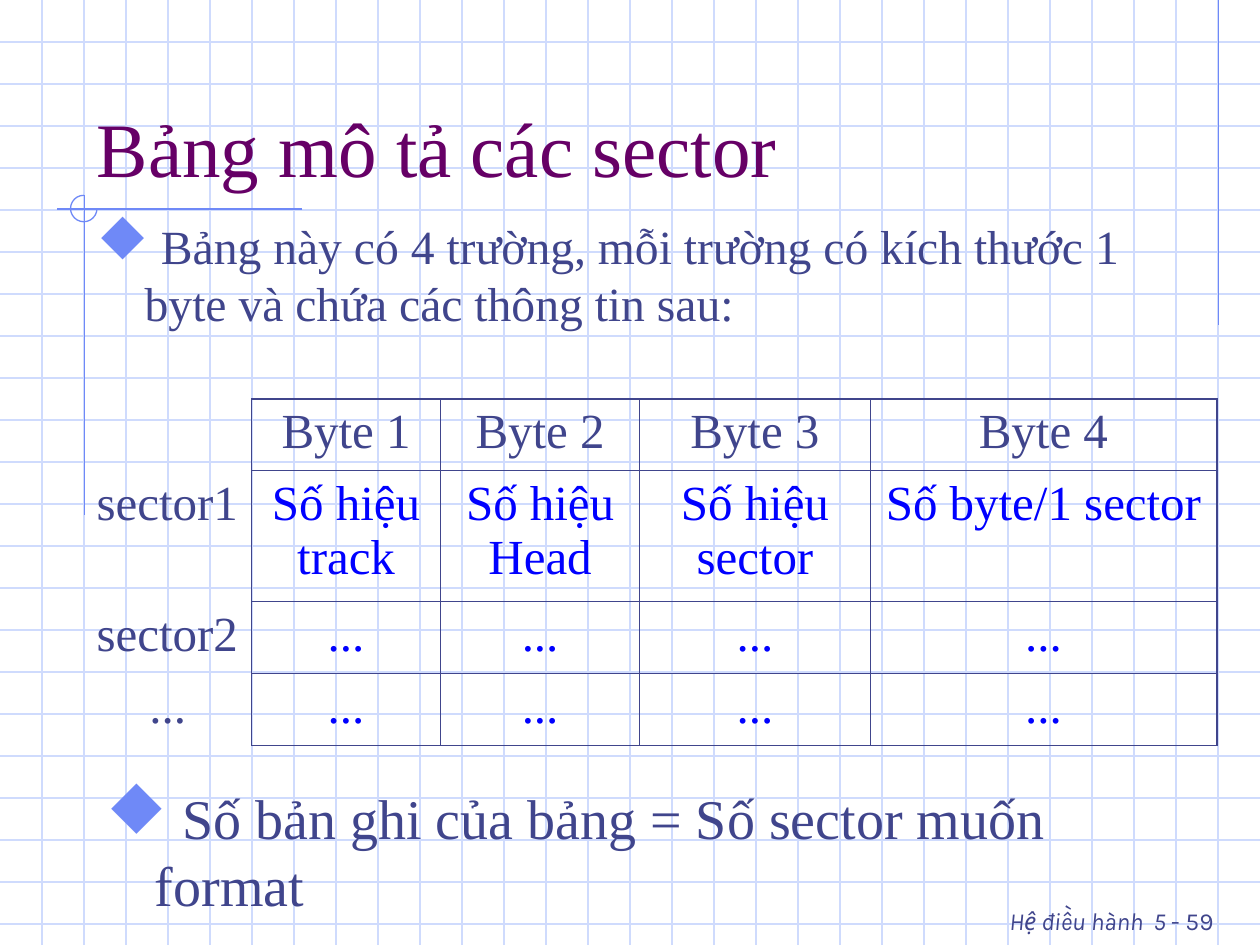
"""Build the slide describing the sector table."""
from dataclasses import dataclass
from typing import Optional

from lxml.etree import SubElement
from pptx import Presentation
from pptx.dml.color import RGBColor
from pptx.enum.shapes import MSO_CONNECTOR, MSO_SHAPE
from pptx.enum.text import MSO_ANCHOR, PP_ALIGN
from pptx.oxml import parse_xml
from pptx.oxml.ns import nsdecls, qn
from pptx.util import Inches, Pt

COLORS = {"grid": "CFDBFD", "accent": "6F89F7", "text": "40458C",
          "title": "660066", "value": "0000FF"}
SERIF = "Times New Roman"
WIDTH, HEIGHT, STEP = 10, 7.5, 1 / 3
THIN, THICK = 0.45, 1.08


@dataclass
class Run:
    text: str
    size: float
    color: str = "text"
    font: str = SERIF
    italic: bool = False


@dataclass
class Line:
    x1: float
    y1: float
    x2: float
    y2: float
    color: str = "accent"


@dataclass
class TextBox:
    left: float
    top: float
    width: float
    height: float
    runs: list[Run]
    align: PP_ALIGN = PP_ALIGN.LEFT
    anchor: MSO_ANCHOR = MSO_ANCHOR.TOP
    bullet: bool = False


LINES = [
    *[Line(0, i * STEP, WIDTH, i * STEP, "grid") for i in range(1, 23)],
    *[Line(i * STEP, 0, i * STEP, HEIGHT, "grid") for i in range(1, 30)],
    Line(9.67, 0, 9.67, 2.58),
    Line(2.4, 1.66, 0.45, 1.66),
    Line(0.67, 1.55, 0.67, 4.09),
]
BOXES = [
    TextBox(6.83, 7, 2.9, 0.5, [
        Run("Hệ điều hành", 14, font="Karla", italic=True),
        Run(" ", 24, font="Karla"),
        Run("5 ", 14, font="Karla", italic=True),
        Run("- 59", 14, font="Karla")], align=PP_ALIGN.RIGHT),
    TextBox(0.67, 0.33, 8.5, 1.25, [Run("Bảng mô tả các sector", 44, "title")],
            anchor=MSO_ANCHOR.BOTTOM),
    TextBox(0.67, 1.67, 8.83, 1.08, [
        Run(" Bảng này có 4 trường, mỗi trường có kích thước 1 byte "
            "và chứa các thông tin sau:", 27.2)], bullet=True),
    TextBox(0.75, 6.17, 8.9, 0.83, [
        Run(" Số bản ghi của bảng = Số sector muốn format", 32)], bullet=True),
]
COL_WIDTHS = [1.33, 1.5, 1.58, 1.83, 2.75]
ROW_HEIGHTS = [0.57, 1.04, 0.57, 0.57]
CELLS = [
    ["", "Byte 1", "Byte 2", "Byte 3", "Byte 4"],
    ["sector1", "Số hiệu track", "Số hiệu Head", "Số hiệu sector", "Số byte/1 sector"],
    ["sector2"] + ["..."] * 4,
    ["..."] * 5,
]


def rgb(name: str) -> RGBColor:
    """Return a named colour."""
    return RGBColor.from_string(COLORS[name])


def add_line(s, line: Line) -> None:
    """Draw one straight line."""
    sp = s.shapes.add_connector(MSO_CONNECTOR.STRAIGHT, Inches(line.x1), Inches(line.y1),
                                Inches(line.x2), Inches(line.y2))
    sp.line.color.rgb = rgb(line.color)
    sp.line.width = Pt(0.75)
    SubElement(sp._element.spPr, qn("a:effectLst"))


def add_arc(s) -> None:
    """Draw the three-quarter circle at the crossing of the accent lines."""
    sp = s.shapes.add_shape(MSO_SHAPE.ARC, Inches(0.56), Inches(1.55),
                            Inches(0.21), Inches(0.21))
    sp.adjustments[0], sp.adjustments[1] = 0, 162
    sp.shadow.inherit = False
    sp.fill.background()
    sp.line.color.rgb = rgb("accent")
    sp.line.width = Pt(0.75)


def add_run(p, run: Run) -> None:
    """Append a formatted run to a paragraph."""
    r = p.add_run()
    r.text = run.text
    r.font.size, r.font.name, r.font.italic = Pt(run.size), run.font, run.italic
    r.font.color.rgb = rgb(run.color)


def set_bullet(p) -> None:
    """Give a paragraph the diamond bullet and hanging indent."""
    p.space_before = Pt(8)
    pPr = p._p.get_or_add_pPr()
    pPr.set("marL", str(Inches(0.38)))
    pPr.set("indent", str(-Inches(0.38)))
    clr = SubElement(pPr, qn("a:buClr"))
    SubElement(clr, qn("a:srgbClr"), val=COLORS["accent"])
    SubElement(pPr, qn("a:buSzPct"), val="110000")
    SubElement(pPr, qn("a:buFont"), typeface="Wingdings", pitchFamily="2", charset="2")
    SubElement(pPr, qn("a:buChar"), char="u")


def add_text(s, box: TextBox) -> None:
    """Draw a text box with one paragraph."""
    tf = s.shapes.add_textbox(Inches(box.left), Inches(box.top),
                              Inches(box.width), Inches(box.height)).text_frame
    tf.word_wrap = True
    tf.vertical_anchor = box.anchor
    p = tf.paragraphs[0]
    p.alignment = box.align
    if box.bullet:
        set_bullet(p)
    for run in box.runs:
        add_run(p, run)


def set_borders(cell, widths: list[Optional[float]]) -> None:
    """Set the left, right, top and bottom borders of a cell."""
    tcPr = cell._tc.get_or_add_tcPr()
    for i, (side, width) in enumerate(zip("LRTB", widths)):
        if width is None:
            attr, fill = "", "<a:noFill/>"
        else:
            attr = f'w="{Pt(width)}"'
            fill = f'<a:solidFill><a:srgbClr val="{COLORS["text"]}"/></a:solidFill>'
        tcPr.insert(i, parse_xml(f'<a:ln{side} {nsdecls("a")} {attr}>{fill}</a:ln{side}>'))


def add_sector_table(s) -> None:
    """Draw the table of sector fields."""
    rows, cols = len(ROW_HEIGHTS), len(COL_WIDTHS)
    table = s.shapes.add_table(rows, cols, Inches(2 * STEP), Inches(9.5 * STEP),
                               Inches(sum(COL_WIDTHS)), Inches(sum(ROW_HEIGHTS))).table
    table.first_row = table.horz_banding = False
    for col, width in zip(table.columns, COL_WIDTHS):
        col.width = Inches(width)
    for i, (row, height) in enumerate(zip(table.rows, ROW_HEIGHTS)):
        row.height = Inches(height)
        for j, cell in enumerate(row.cells):
            text = CELLS[i][j]
            cell.fill.background()
            if j == 0:
                set_borders(cell, [None, THIN, None, None])
            else:
                set_borders(cell, [THIN, THICK if j == cols - 1 else THIN,
                                   THICK if i == 0 else THIN,
                                   THICK if i == rows - 1 else THIN])
            if text:
                p = cell.text_frame.paragraphs[0]
                p.space_before = Pt(7)
                p.alignment = PP_ALIGN.LEFT if text.startswith("sector") else PP_ALIGN.CENTER
                add_run(p, Run(text, 28, "value" if i and j else "text"))


def main() -> None:
    """Build and save the presentation."""
    prs = Presentation()
    prs.slide_width, prs.slide_height = Inches(WIDTH), Inches(HEIGHT)
    s = prs.slides.add_slide(prs.slide_layouts[6])
    for line in LINES:
        add_line(s, line)
    add_arc(s)
    for box in BOXES[:-1]:
        add_text(s, box)
    add_sector_table(s)
    add_text(s, BOXES[-1])
    prs.save("out.pptx")


if __name__ == "__main__":
    main()
